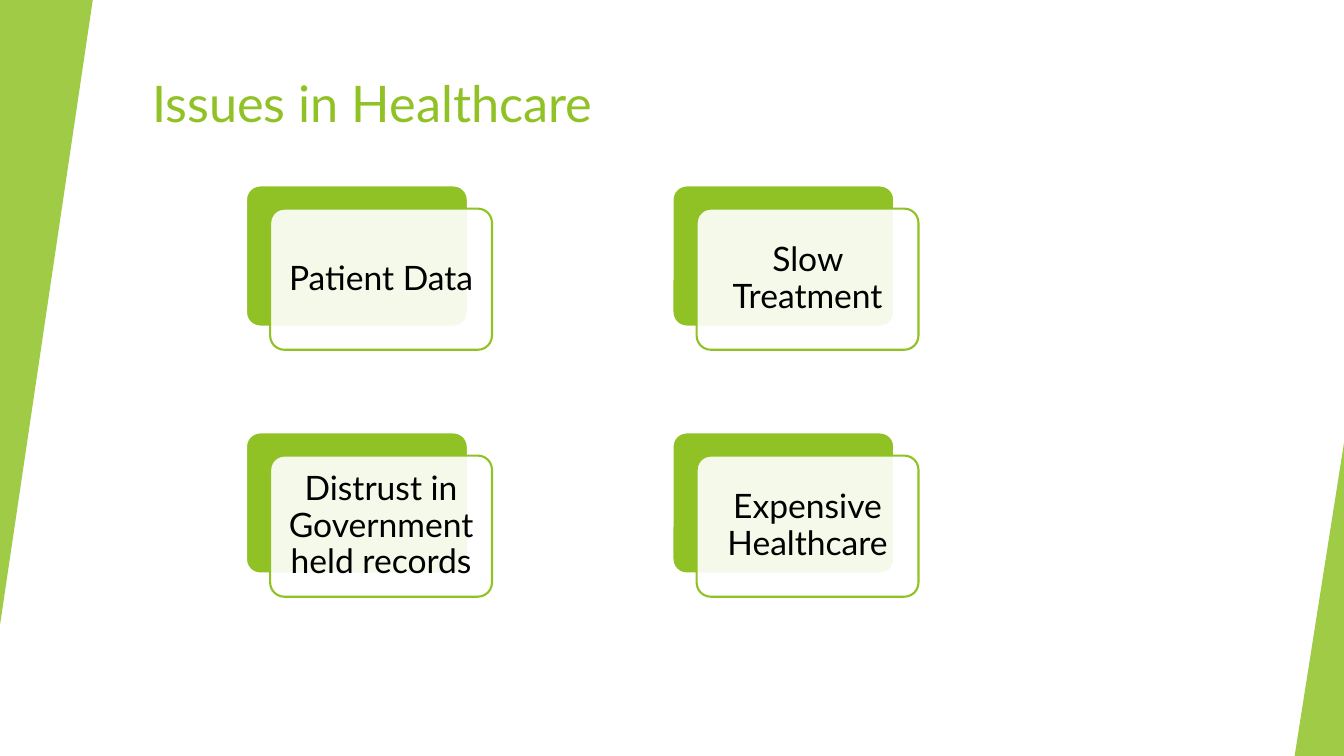
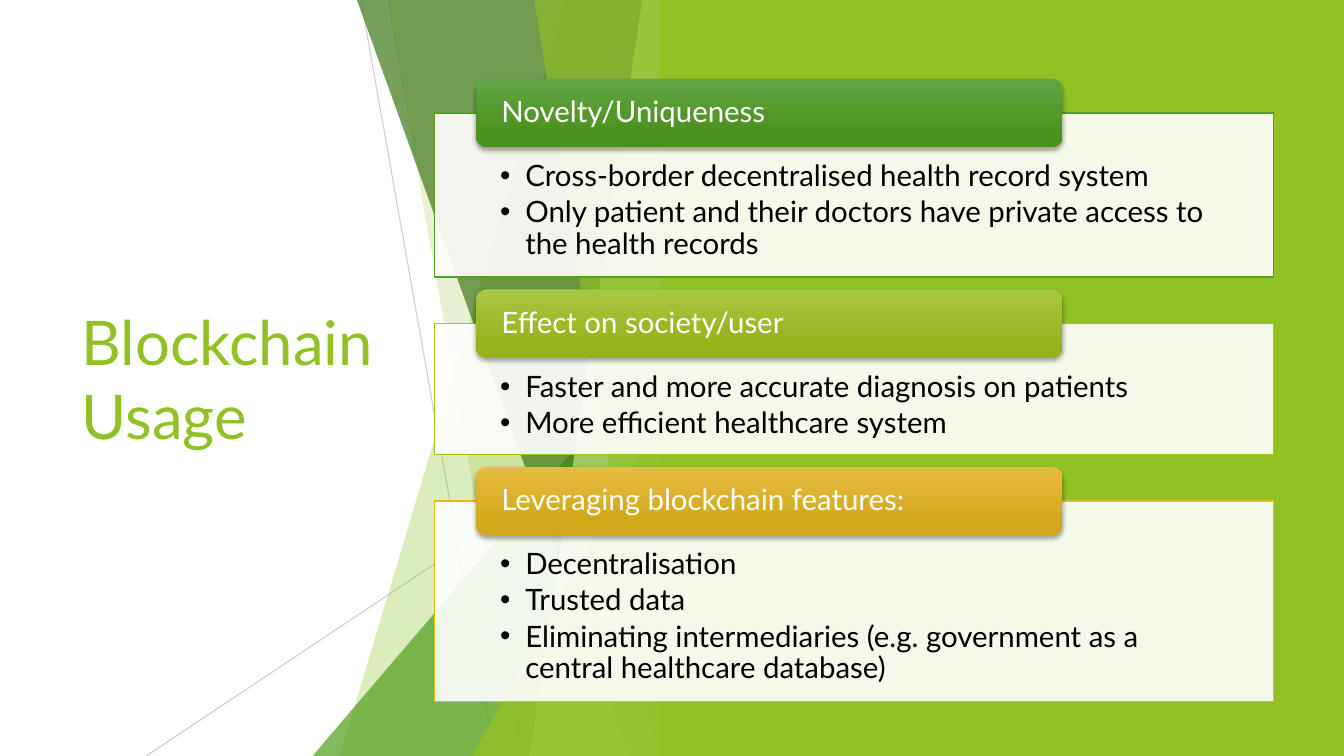
from dataclasses import dataclass
from typing import Any

from lxml.etree import SubElement
from pptx import Presentation
from pptx.dml.color import RGBColor
from pptx.enum.shapes import MSO_CONNECTOR, MSO_SHAPE
from pptx.enum.text import MSO_ANCHOR, MSO_AUTO_SIZE, PP_ALIGN
from pptx.oxml.ns import qn
from pptx.util import Inches, Pt

# Shared look
FONT = "Lato"
GREEN, LEAF, MOSS, LIME = "90C226", "54A021", "3F7819", "C0E474"
WHITE, BLACK, GREY = "FFFFFF", "000000", "BFBFBF"
WIDTH, HEIGHT = 13.33, 7.5
TITLE_ONLY = 5


@dataclass(frozen=True)
class Area:
    left: float
    top: float
    width: float
    height: float

    def emu(self) -> list[int]:
        return [Inches(v) for v in (self.left, self.top, self.width, self.height)]


@dataclass(frozen=True)
class Ray:
    start: tuple[float, float]
    end: tuple[float, float]
    alpha: int


@dataclass(frozen=True)
class Band:
    """A four-sided strip running from the top edge to the bottom edge."""
    top: tuple[float, float]
    bottom: tuple[float, float]
    color: str
    alpha: int


@dataclass(frozen=True)
class Wedge:
    area: Area
    color: str = GREEN
    alpha: int = 85
    rotation: int = 0


@dataclass(frozen=True)
class Panel:
    heading: str
    bullets: tuple[str, ...]
    height: float
    outline: str
    gradient: tuple[str, str]


def rgb(color: str) -> RGBColor:
    return RGBColor.from_string(color)


def apply(target: Any, values: dict[str, Any]) -> None:
    for name, value in values.items():
        setattr(target, name, value)


def set_alpha(shape: Any, percent: int, where: str = "") -> None:
    color = shape.element.spPr.find(f"{where}{qn('a:solidFill')}/{qn('a:srgbClr')}")
    SubElement(color, qn("a:alpha")).set("val", str(percent * 1000))


def paint(shape: Any, color: str, alpha: int = 100,
          outline: str = "", weight: float = 0) -> None:
    shape.shadow.inherit = False
    shape.fill.solid()
    shape.fill.fore_color.rgb = rgb(color)
    if alpha < 100:
        set_alpha(shape, alpha)
    if outline:
        shape.line.color.rgb = rgb(outline)
        shape.line.width = Pt(weight)
    else:
        shape.line.fill.background()


def write(para: Any, text: str, size: float, color: str, **layout: Any) -> None:
    apply(para, layout)
    span = para.add_run()
    span.text = text
    apply(span.font, {"name": FONT, "size": Pt(size)})
    span.font.color.rgb = rgb(color)


def frame_text(shape: Any, margins: tuple[float, float, float, float],
               anchor: MSO_ANCHOR) -> Any:
    left, top, right, bottom = (Inches(m) for m in margins)
    apply(shape.text_frame, {
        "word_wrap": True, "auto_size": MSO_AUTO_SIZE.NONE,
        "vertical_anchor": anchor, "margin_left": left, "margin_top": top,
        "margin_right": right, "margin_bottom": bottom,
    })
    return shape.text_frame


def add_page(deck: Any, title: str, area: Area, size: float, anchor: MSO_ANCHOR) -> Any:
    page = deck.slides.add_slide(deck.slide_layouts[TITLE_ONLY])
    box = page.shapes.title
    apply(box, dict(zip(("left", "top", "width", "height"), area.emu())))
    frame = frame_text(box, (0.1, 0.05, 0.1, 0.05), anchor)
    write(frame.paragraphs[0], title, size, GREEN, alignment=PP_ALIGN.LEFT)
    return page


# Slanted decoration
def add_ray(page: Any, ray: Ray) -> None:
    line = page.shapes.add_connector(
        MSO_CONNECTOR.STRAIGHT, *(Inches(v) for v in ray.start + ray.end))
    line.line.color.rgb = rgb(GREY)
    line.line.width = Pt(0.75)
    set_alpha(line, ray.alpha, f"{qn('a:ln')}/")
    SubElement(line.element.spPr, qn("a:effectLst"))


def add_band(page: Any, band: Band) -> None:
    corners = [(band.top[0], 0), (band.top[1], 0),
               (band.bottom[1], HEIGHT), (band.bottom[0], HEIGHT)]
    points = [(Inches(x), Inches(y)) for x, y in corners]
    outline = page.shapes.build_freeform(*points[0])
    outline.add_line_segments(points[1:], close=True)
    paint(outline.convert_to_shape(), band.color, band.alpha)


def add_wedge(page: Any, wedge: Wedge) -> None:
    shape = page.shapes.add_shape(MSO_SHAPE.ISOSCELES_TRIANGLE, *wedge.area.emu())
    shape.adjustments[0] = 1
    shape.rotation = wedge.rotation
    paint(shape, wedge.color, wedge.alpha)


def add_decoration(page: Any, parts: tuple[Any, ...]) -> None:
    draw = {Ray: add_ray, Band: add_band, Wedge: add_wedge}
    for part in parts:
        draw[type(part)](page, part)


EDGE_WEDGES = (
    Wedge(Area(0, 0, 0.92, 6.2), rotation=180),
    Wedge(Area(12.84, 4.39, 0.49, 3.11)),
)
SEAM = 6.66
FACETS = (
    Ray((3.58, 0), (4.91, HEIGHT), 75),
    Ray((SEAM, 4.03), (1.45, HEIGHT), 80),
    Band((5.61, SEAM), (3.37, SEAM), GREEN, 30),
    Band((3.84, SEAM), (5.16, SEAM), GREEN, 20),
    Wedge(Area(3.1, 3.33, 3.56, 4.17), LEAF, 72),
    Band((3.54, SEAM), (6.24, SEAM), MOSS, 70),
    Band((6.37, SEAM), (5.25, SEAM), LIME, 70),
    Band((5.3, SEAM), (6.51, SEAM), GREEN, 65),
    Wedge(Area(4.68, 3.93, 1.99, 3.57), GREEN, 80),
)


# Issue cards
ISSUES = (("Patient Data", "Slow Treatment"),
          ("Distrust in Government held records", "Expensive Healthcare"))


def add_card(page: Any, left: float, top: float, text: str) -> None:
    layers = ((0, 0, GREEN, 100, WHITE), (0.24, 0.23, WHITE, 90, GREEN))
    for shift_x, shift_y, color, alpha, outline in layers:
        area = Area(left + shift_x, top + shift_y, 2.2, 1.4)
        card = page.shapes.add_shape(MSO_SHAPE.ROUNDED_RECTANGLE, *area.emu())
        card.adjustments[0] = 0.1
        paint(card, color, alpha, outline, 1.5)
    frame = frame_text(card, (0.1, 0.1, 0.1, 0.1), MSO_ANCHOR.MIDDLE)
    write(frame.paragraphs[0], text, 24, BLACK,
          alignment=PP_ALIGN.CENTER, line_spacing=0.9)


def build_issues(deck: Any) -> None:
    page = add_page(deck, "Issues in Healthcare", Area(1.41, 0.67, 11.15, 1.2),
                    36, MSO_ANCHOR.TOP)
    add_decoration(page, EDGE_WEDGES)
    for row, texts in enumerate(ISSUES):
        for column, text in enumerate(texts):
            add_card(page, 2.44 + 4.23 * column, 1.84 + 2.45 * row, text)


# Usage panels
PANELS = (
    Panel("Novelty/Uniqueness",
          ("Cross-border decentralised health record system",
           "Only patient and their doctors have private access to the health records"),
          1.63, LEAF, ("63A545", "4D921E")),
    Panel("Effect on society/user",
          ("Faster and more accurate diagnosis on patients",
           "More efficient healthcare system"),
          1.3, "A5C41F", ("AAC744", "97B31C")),
    Panel("Leveraging blockchain features:",
          ("Decentralisation", "Trusted data",
           "Eliminating intermediaries (e.g. government as a central healthcare database)"),
          1.99, "E6B91E", ("E7BC43", "D2A91B")),
)


def add_bullet(para: Any) -> None:
    properties = para._p.get_or_add_pPr()
    properties.set("marL", str(Inches(0.25)))
    properties.set("indent", str(-Inches(0.25)))
    SubElement(properties, qn("a:buFont")).set("typeface", "Arial")
    SubElement(properties, qn("a:buChar")).set("char", "•")


def add_drop_shadow(shape: Any) -> None:
    shape.shadow.inherit = False
    effects = shape.element.spPr.find(qn("a:effectLst"))
    shadow = SubElement(effects, qn("a:outerShdw"), {
        "blurRad": str(Pt(3)), "dist": str(Pt(2)), "dir": "5400000", "rotWithShape": "0"})
    color = SubElement(shadow, qn("a:srgbClr"), val=BLACK)
    SubElement(color, qn("a:alpha"), val="35000")


def add_panel(page: Any, panel: Panel, top: float) -> None:
    area = Area(4.31, top, 8.32, panel.height)
    body = page.shapes.add_shape(MSO_SHAPE.RECTANGLE, *area.emu())
    paint(body, WHITE, 90, panel.outline, 1)
    frame = frame_text(body, (0.65, 0.48, 0.65, 0.16), MSO_ANCHOR.TOP)
    for index, text in enumerate(panel.bullets):
        para = frame.add_paragraph() if index else frame.paragraphs[0]
        write(para, text, 21, BLACK, alignment=PP_ALIGN.LEFT,
              line_spacing=0.9, space_after=Pt(3.15))
        add_bullet(para)

    tab = page.shapes.add_shape(MSO_SHAPE.ROUNDED_RECTANGLE,
                                *Area(4.72, top - 0.34, 5.82, 0.68).emu())
    tab.fill.gradient()
    tab.fill.gradient_angle = 270
    for stop, color, position in zip(tab.fill.gradient_stops, panel.gradient, (0, 0.78)):
        stop.color.rgb = rgb(color)
        stop.position = position
    tab.line.fill.background()
    add_drop_shadow(tab)
    frame = frame_text(tab, (0.22, 0, 0.22, 0), MSO_ANCHOR.MIDDLE)
    write(frame.paragraphs[0], panel.heading, 21, WHITE,
          alignment=PP_ALIGN.LEFT, line_spacing=0.9)


def build_usage(deck: Any) -> None:
    page = add_page(deck, "Blockchain Usage", Area(0.71, 1.51, 3.88, 4.48),
                    44, MSO_ANCHOR.MIDDLE)
    add_decoration(page, FACETS)
    backdrop = page.shapes.add_shape(MSO_SHAPE.RECTANGLE,
                                     *Area(6.54, 0, WIDTH - 6.54, HEIGHT).emu())
    paint(backdrop, GREEN)
    top = 1.12
    for panel in PANELS:
        add_panel(page, panel, top)
        top += panel.height + 0.46


def main() -> None:
    deck = Presentation()
    deck.slide_width, deck.slide_height = Inches(WIDTH), Inches(HEIGHT)
    build_issues(deck)
    build_usage(deck)
    deck.save("out.pptx")


if __name__ == "__main__":
    main()
